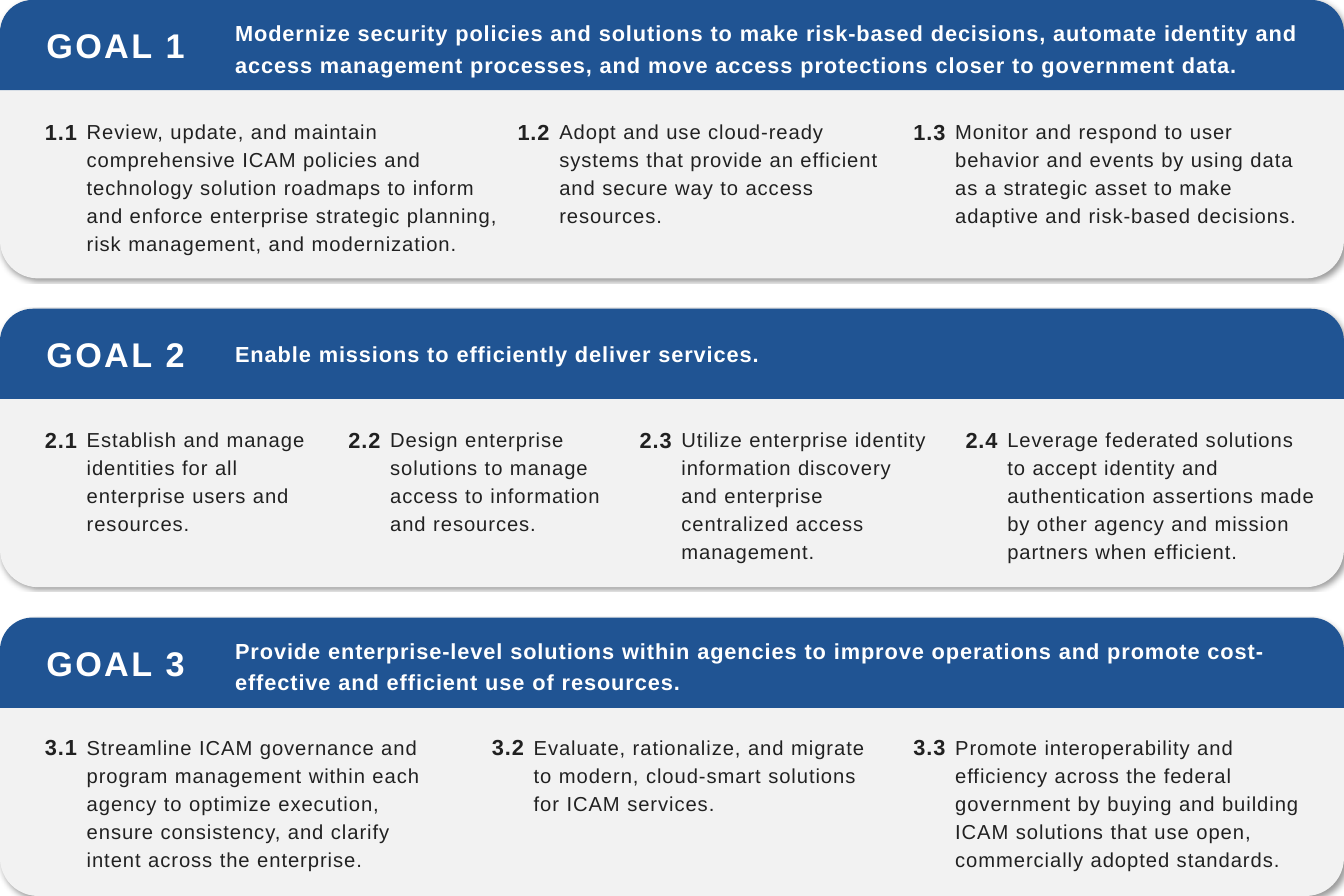
"""Build a slide of three ICAM goals, each a panel with numbered objectives."""
from dataclasses import dataclass
from typing import Optional

from lxml import etree
from pptx import Presentation
from pptx.dml.color import RGBColor
from pptx.enum.shapes import MSO_SHAPE
from pptx.enum.text import MSO_AUTO_SIZE, PP_ALIGN
from pptx.oxml.ns import qn
from pptx.shapes.autoshape import Shape
from pptx.slide import Slide
from pptx.util import Pt

ROUNDED, TOP_ROUNDED = MSO_SHAPE.ROUNDED_RECTANGLE, MSO_SHAPE.ROUND_2_SAME_RECTANGLE
LEFT, CENTER = PP_ALIGN.LEFT, PP_ALIGN.CENTER
GROW = MSO_AUTO_SIZE.SHAPE_TO_FIT_TEXT

BLUE = RGBColor(0x20, 0x54, 0x93)
GRAY = RGBColor(0xF2, 0xF2, 0xF2)
WHITE = RGBColor(0xFF, 0xFF, 0xFF)
DARK = RGBColor(0x21, 0x21, 0x21)

SLIDE_WIDTH, SLIDE_HEIGHT = 1728, 1152
PANEL_HEIGHT, PANEL_PITCH, HEADER_HEIGHT = 358, 397, 116
OBJECTIVE_TOP, OBJECTIVE_PITCH, OBJECTIVE_LEADING = 145.5, 395.6, 36
NUMBER_SHIFT_LEFT, NUMBER_SHIFT_DOWN = 62, 3


@dataclass(frozen=True)
class Objective:
    """A numbered text column under a goal."""
    left: float
    width: float
    lines: int
    text: str


@dataclass(frozen=True)
class Goal:
    """A panel with a headline and its objectives."""
    headline: str
    headline_height: float
    headline_leading: Optional[float]
    objectives: tuple[Objective, ...]


GOALS = (
    Goal("Modernize security policies and solutions to make risk-based decisions, automate "
         "identity and access management processes, and move access protections closer to "
         "government data.", 84, 40, (
             Objective(104.4, 546, 5, "Review, update, and maintain comprehensive ICAM policies "
                       "and technology solution roadmaps to inform and enforce enterprise "
                       "strategic planning, risk management, and modernization."),
             Objective(712, 456, 4, "Adopt and use cloud-ready systems that provide an efficient "
                       "and secure way to access resources."),
             Objective(1221, 482, 4, "Monitor and respond to user behavior and events by using "
                       "data as a strategic asset to make adaptive and risk-based decisions."))),
    Goal("Enable missions to efficiently deliver services.", 41, None, (
        Objective(104.4, 335, 4, "Establish and manage identities for all enterprise users and "
                  "resources."),
        Objective(494.6, 333, 4, "Design enterprise solutions to manage access to information "
                  "and resources."),
        Objective(869, 335, 5, "Utilize enterprise identity information discovery and "
                  "enterprise centralized access management."),
        Objective(1288, 413, 5, "Leverage federated solutions to accept identity and "
                  "authentication assertions made by other agency and mission partners when "
                  "efficient."))),
    Goal("Provide enterprise-level solutions within agencies to improve operations and promote "
         "cost-effective and efficient use of resources.", 84, 40, (
             Objective(104.4, 482, 5, "Streamline ICAM governance and program management within "
                       "each agency to optimize execution, ensure consistency, and clarify "
                       "intent across the enterprise."),
             Objective(679, 456, 3, "Evaluate, rationalize, and migrate to modern, cloud-smart "
                       "solutions for ICAM services."),
             Objective(1221, 482, 5, "Promote interoperability and efficiency across the federal "
                       "government by buying and building ICAM solutions that use open, "
                       "commercially adopted standards."))),
)


def add_text(slide: Slide, text: str, left: float, top: float, width: float, height: float, *,
             size: float, color: RGBColor, bold: bool = False, tracking: float = 1.2,
             leading: Optional[float] = None, align: PP_ALIGN = LEFT) -> None:
    """Add a wrapped one-paragraph text box in Arial."""
    frame = slide.shapes.add_textbox(Pt(left), Pt(top), Pt(width), Pt(height)).text_frame
    frame.word_wrap = True
    frame.auto_size = GROW
    paragraph = frame.paragraphs[0]
    paragraph.alignment = align
    if leading is not None:
        paragraph.line_spacing = Pt(leading)
    run = paragraph.add_run()
    run.text = text
    run.font.name = "Arial"
    run.font.size = Pt(size)
    run.font.bold = bold
    run.font.color.rgb = color
    run._r.get_or_add_rPr().set("spc", str(round(tracking * 100)))


def add_band(slide: Slide, kind: MSO_SHAPE, top: float, height: float, color: RGBColor,
             rounding: float) -> Shape:
    """Add a full-width filled shape with rounded corners."""
    shape = slide.shapes.add_shape(kind, Pt(0), Pt(top), Pt(SLIDE_WIDTH), Pt(height))
    shape.adjustments[0] = rounding
    shape.shadow.inherit = False
    shape.fill.solid()
    shape.fill.fore_color.rgb = color
    shape.line.fill.background()
    return shape


def add_shadow(shape: Shape) -> None:
    """Give a shape a soft shadow to the lower right."""
    effects = shape._element.spPr.find(qn("a:effectLst"))
    shadow = etree.SubElement(effects, qn("a:outerShdw"), blurRad=str(Pt(4)), dist=str(Pt(3)),
                              dir=str(45 * 60000), algn="tl", rotWithShape="0")
    color = etree.SubElement(shadow, qn("a:srgbClr"), val="000000")
    etree.SubElement(color, qn("a:alpha"), val="40000")


def add_objective(slide: Slide, objective: Objective, number: str, top: float) -> None:
    """Add an objective's text and the number beside it."""
    add_text(slide, objective.text, objective.left, top, objective.width,
             objective.lines * OBJECTIVE_LEADING + 5.5,
             size=26, color=DARK, leading=OBJECTIVE_LEADING)
    add_text(slide, number, objective.left - NUMBER_SHIFT_LEFT, top + NUMBER_SHIFT_DOWN, 72, 39.6,
             size=28, color=DARK, bold=True, leading=34, align=CENTER)


def add_goal(slide: Slide, goal: Goal, index: int) -> None:
    """Add a goal's panel, header and objectives."""
    top = index * PANEL_PITCH
    add_shadow(add_band(slide, ROUNDED, top, PANEL_HEIGHT, GRAY, 0.137))
    add_band(slide, TOP_ROUNDED, top, HEADER_HEIGHT, BLUE, 0.362)
    add_text(slide, goal.headline, 295.2, top + (HEADER_HEIGHT - goal.headline_height) / 2,
             1384, goal.headline_height,
             size=28, color=WHITE, bold=True, leading=goal.headline_leading)
    add_text(slide, f"GOAL {index + 1}", 49, top + 28, 199.4, 60.5,
             size=44, color=WHITE, bold=True, tracking=3, align=CENTER)
    for position, objective in enumerate(goal.objectives, start=1):
        add_objective(slide, objective, f"{index + 1}.{position}",
                      OBJECTIVE_TOP + index * OBJECTIVE_PITCH)


def main() -> None:
    """Create and save the presentation."""
    presentation = Presentation()
    presentation.slide_width = Pt(SLIDE_WIDTH)
    presentation.slide_height = Pt(SLIDE_HEIGHT)
    slide = presentation.slides.add_slide(presentation.slide_layouts[6])
    for index, goal in enumerate(GOALS):
        add_goal(slide, goal, index)
    presentation.save("out.pptx")


main()
